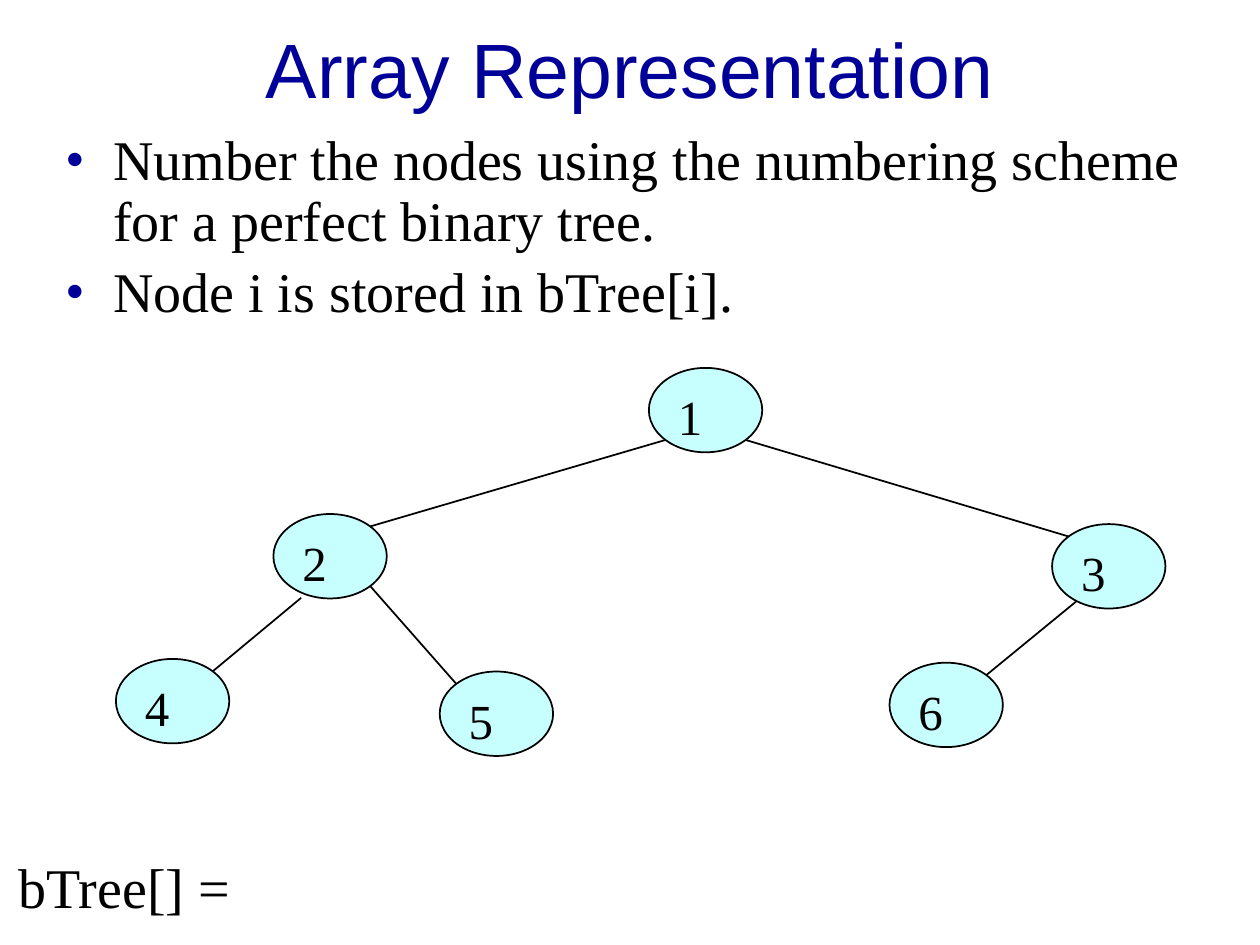
import math

import pptx
import pptx.util
from pptx.dml.color import RGBColor
from pptx.enum.shapes import MSO_CONNECTOR, MSO_SHAPE
from pptx.enum.text import MSO_ANCHOR, MSO_AUTO_SIZE, PP_ALIGN
from pptx.oxml.ns import qn
from lxml import etree

Inches, Pt = pptx.util.Inches, pptx.util.Pt

COLORS = {"title": "000099", "text": "000000", "node": "C7FFFF", "back": "FFFFFF"}
SERIF = "Times New Roman"
TITLE = "Array Representation"
BULLETS = [
    "Number the nodes using the numbering scheme for a perfect binary tree.",
    "Node i is stored in bTree[i].",
]
ARRAY_LABEL = "bTree[] ="

W, H = 10, 7.5
NODE_W, NODE_H = 0.9, 0.67
# node number: left, top
NODES = {
    1: (5.15, 2.92),
    2: (2.17, 4.08), 3: (8.35, 4.16),
    4: (0.92, 5.23), 5: (3.49, 5.33), 6: (7.06, 5.26),
}
# lines that leave the parent off its diagonal: offset from the parent's centre
START_OFFSETS = {4: (-0.23, 0.33), 6: (-0.26, 0.28)}


def color(name):
    return RGBColor.from_string(COLORS[name])


def add_run(p, text, size, font=SERIF, name="text"):
    r = p.add_run()
    r.text = text
    r.font.size = Pt(size)
    r.font.name = font
    r.font.color.rgb = color(name)


def add_textbox(s, left, top, width, height):
    box = s.shapes.add_textbox(*map(Inches, (left, top, width, height)))
    return box.text_frame


def set_bullet(p):
    """Hang the paragraph on a coloured dot."""
    pPr = p._p.get_or_add_pPr()
    pPr.set("marL", str(Inches(0.38)))
    pPr.set("indent", str(-Inches(0.38)))
    clr = etree.SubElement(pPr, qn("a:buClr"))
    etree.SubElement(clr, qn("a:srgbClr"), val=COLORS["title"])
    etree.SubElement(pPr, qn("a:buFont"), typeface=SERIF)
    etree.SubElement(pPr, qn("a:buChar"), char="•")


def add_title(s):
    sp = s.shapes.title
    sp.left, sp.top, sp.width, sp.height = map(Inches, (0.75, 0.12, 8.5, 0.83))
    tf = sp.text_frame
    tf.vertical_anchor = MSO_ANCHOR.MIDDLE
    tf.auto_size = MSO_AUTO_SIZE.NONE
    p = tf.paragraphs[0]
    p.alignment = PP_ALIGN.CENTER
    add_run(p, TITLE, 44, "Arial", "title")


def add_bullets(s):
    tf = add_textbox(s, 0.42, 1, 9.17, 1.58)
    tf.word_wrap = True
    for i, text in enumerate(BULLETS):
        p = tf.add_paragraph() if i else tf.paragraphs[0]
        set_bullet(p)
        p.line_spacing = 0.9
        if i:
            p.space_before = Pt(6.4)
        add_run(p, text, 32)


def add_node(s, number):
    left, top = NODES[number]
    sp = s.shapes.add_shape(MSO_SHAPE.OVAL, *map(Inches, (left, top, NODE_W, NODE_H)))
    sp.shadow.inherit = False
    sp.fill.solid()
    sp.fill.fore_color.rgb = color("node")
    sp.line.color.rgb = color("text")
    sp.line.width = Pt(1)
    tf = sp.text_frame
    tf.vertical_anchor = MSO_ANCHOR.TOP
    p = tf.paragraphs[0]
    p.alignment = PP_ALIGN.LEFT
    add_run(p, str(number), 28)


def add_edge(s, child):
    """Join a child's upper diagonal point to its parent, node child // 2."""
    side = 1 if child % 2 else -1
    dx, dy = NODE_W / 2 * math.sqrt(0.5), NODE_H / 2 * math.sqrt(0.5)
    (px, py), (cx, cy) = [
        (left + NODE_W / 2, top + NODE_H / 2)
        for left, top in (NODES[child // 2], NODES[child])
    ]
    ox, oy = START_OFFSETS.get(child, (side * dx, dy))
    ends = (px + ox, py + oy, cx - side * dx, cy - dy)
    line = s.shapes.add_connector(MSO_CONNECTOR.STRAIGHT, *map(Inches, ends))
    line.line.color.rgb = color("text")
    line.line.width = Pt(1)
    etree.SubElement(line._element.spPr, qn("a:effectLst"))


def main():
    prs = pptx.Presentation()
    prs.slide_width, prs.slide_height = Inches(W), Inches(H)
    s = prs.slides.add_slide(prs.slide_layouts[5])
    s.background.fill.solid()
    s.background.fill.fore_color.rgb = color("back")

    add_title(s)
    add_bullets(s)
    for number in NODES:
        add_node(s, number)
        if number > 1:
            add_edge(s, number)

    tf = add_textbox(s, 0.05, 6.72, 1.9, 0.64)
    tf.word_wrap = False
    tf.auto_size = MSO_AUTO_SIZE.SHAPE_TO_FIT_TEXT
    add_run(tf.paragraphs[0], ARRAY_LABEL, 32)

    prs.save("out.pptx")


if __name__ == "__main__":
    main()
